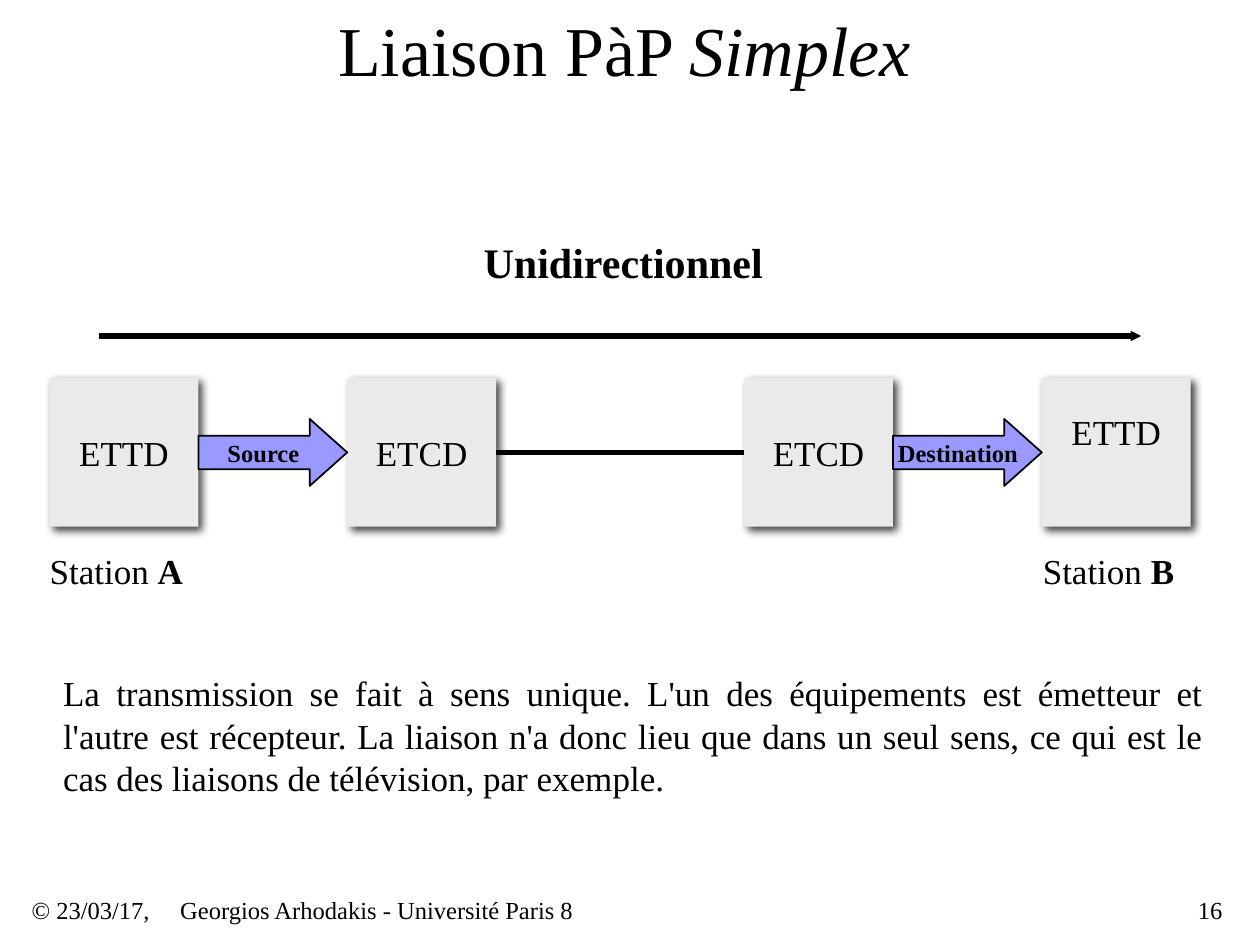
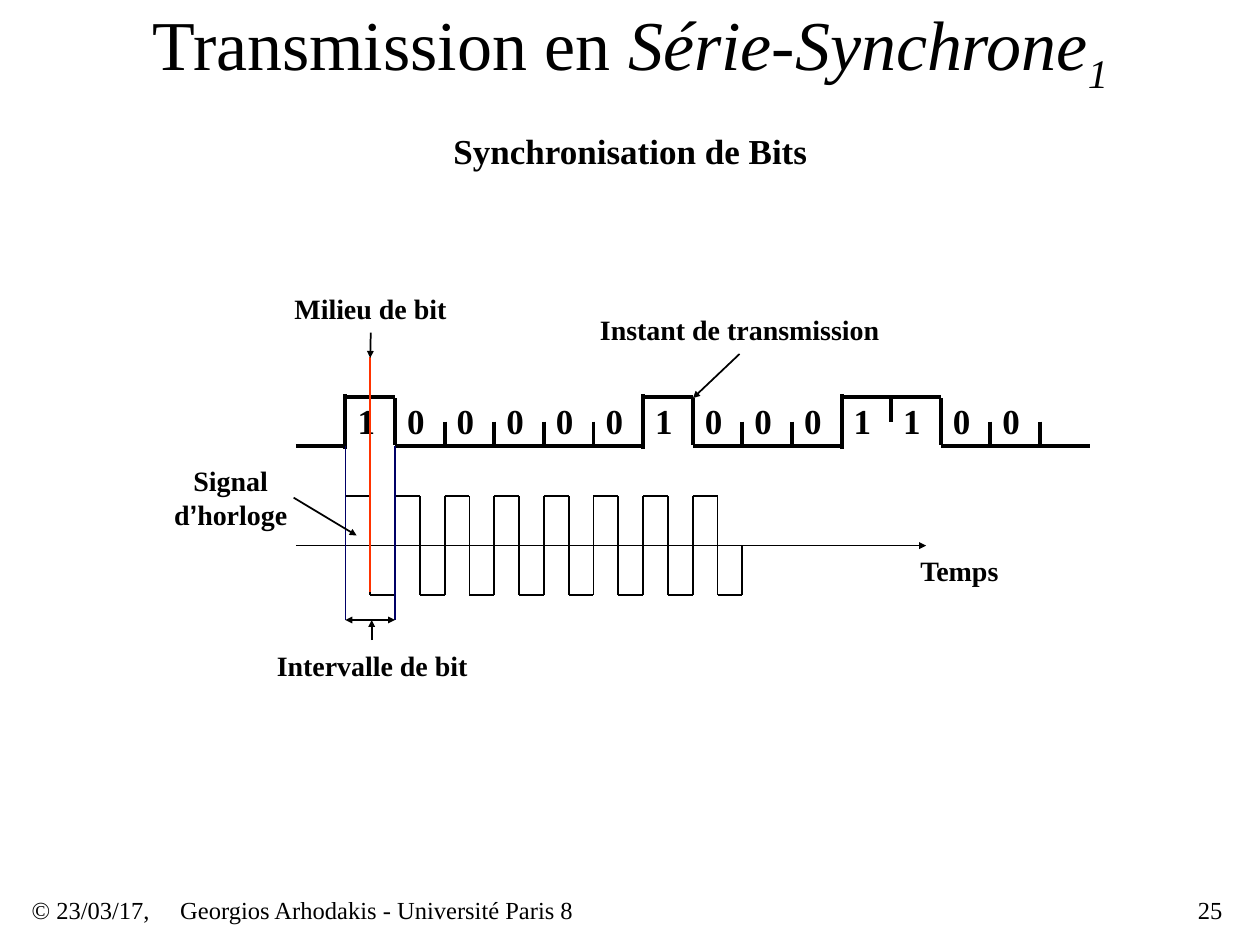
from dataclasses import dataclass
from itertools import pairwise

from lxml import etree
from pptx import Presentation
from pptx import util as u
from pptx.dml.color import RGBColor
from pptx.enum import shapes, text
from pptx.oxml import ns


@dataclass(frozen=True)
class Theme:
    font: str = "Times New Roman"
    quote_font: str = "Arial"
    ink: str = "000000"
    station: str = "EAEAEA"
    flow: str = "9999FF"
    interval: str = "000066"
    middle: str = "FF3300"
    title: float = 40
    heading: float = 24
    body: float = 20
    label: float = 16
    small: float = 14
    thin: float = 1
    signal: float = 2.25
    thick: float = 3


THEME = Theme()
BOLD = {"bold": True}
ITALIC = {"italic": True}
CENTER = text.PP_ALIGN.CENTER
NO_INSET = (0, 0, 0, 0)
DEFAULT_INSET = (7.2, 3.6, 7.2, 3.6)
CM = 28.35


def add_xml(parent, tag, **attributes):
    child = etree.SubElement(parent, ns.qn(tag))
    for name, value in attributes.items():
        child.set(name, str(value))
    return child


class Stage:
    def __init__(self, deck, theme):
        self.deck = deck
        self.theme = theme
        self.page = None

    def new_page(self, number, title_spans, title_left, title_width):
        self.page = self.deck.slides.add_slide(self.deck.slide_layouts[6])
        footers = (
            (14.4, 142, "© 23/03/17,", text.PP_ALIGN.LEFT),
            (99.4, 369, "Georgios Arhodakis - Université Paris 8", text.PP_ALIGN.LEFT),
            (552.2, 150, str(number), text.PP_ALIGN.RIGHT),
        )
        for left, width, words, align in footers:
            self.label((left, 509.8, width, 20.2), [(words, {})], self.theme.small,
                       align=align, inset=(3.6, 1.4, 3.6, 1.4))
        self.label((title_left, 0, title_width, 55.4), title_spans,
                   self.theme.title, inset=DEFAULT_INSET)

    def set_text(self, box, spans, size, align=CENTER, inset=NO_INSET, wrap=True,
                 anchor=text.MSO_ANCHOR.MIDDLE):
        frame = box.text_frame
        sides = ("margin_left", "margin_top", "margin_right", "margin_bottom")
        settings = dict(zip(sides, map(u.Pt, inset)), word_wrap=wrap, vertical_anchor=anchor)
        for name, value in settings.items():
            setattr(frame, name, value)
        para = frame.paragraphs[0]
        para.alignment = align
        for words, extra in spans:
            span = para.add_run()
            span.text = words
            look = {"name": self.theme.font, "size": u.Pt(size)} | extra
            baseline = look.pop("baseline", None)
            for name, value in look.items():
                setattr(span.font, name, value)
            span.font.color.rgb = RGBColor.from_string(self.theme.ink)
            if baseline:
                span.font._element.set("baseline", str(baseline))

    def label(self, place, spans, size, **layout):
        box = self.page.shapes.add_textbox(*map(u.Pt, place))
        self.set_text(box, spans, size, **layout)

    def shape(self, kind, place, fill):
        box = self.page.shapes.add_shape(kind, *map(u.Pt, place))
        box.shadow.inherit = False
        box.fill.solid()
        box.fill.fore_color.rgb = RGBColor.from_string(fill)
        return box

    def station(self, left, top, name, lift=0):
        box = self.shape(shapes.MSO_SHAPE.RECTANGLE, (left, top, 3 * CM, 3 * CM),
                         self.theme.station)
        box.line.fill.background()
        effects = box._element.spPr.find(ns.qn("a:effectLst"))
        shadow = add_xml(effects, "a:outerShdw", blurRad=u.Pt(5), dist=u.Pt(3),
                         dir=45 * 60000, algn="ctr", rotWithShape=0)
        color = add_xml(shadow, "a:srgbClr", val=self.theme.ink)
        add_xml(color, "a:alpha", val=75000)
        self.set_text(box, [(name, {})], self.theme.body, inset=(7.2, 3.6, 7.2, 3.6 + lift),
                      wrap=False)
        return box

    def flow(self, left, middle, name):
        height = 38.3
        box = self.shape(shapes.MSO_SHAPE.RIGHT_ARROW,
                         (left, middle - height / 2, 3 * CM, height), self.theme.flow)
        box.adjustments[0], box.adjustments[1] = 0.5, 0.56
        box.line.color.rgb = RGBColor.from_string(self.theme.ink)
        box.line.width = u.Pt(self.theme.thin)
        self.set_text(box, [(name, BOLD)], self.theme.small)

    def line(self, start, end, width=None, color=None, head=False, tail=False):
        line = self.page.shapes.add_connector(shapes.MSO_CONNECTOR.STRAIGHT,
                                              *map(u.Pt, (*start, *end)))
        line.line.width = u.Pt(width or self.theme.thin)
        line.line.color.rgb = RGBColor.from_string(color or self.theme.ink)
        outline = line._element.spPr.find(ns.qn("a:ln"))
        for wanted, tag in ((head, "a:headEnd"), (tail, "a:tailEnd")):
            if wanted:
                add_xml(outline, tag, type="triangle", w="sm", len="sm")
        add_xml(line._element.spPr, "a:effectLst")
        return line


def build_simplex(stage):
    theme = stage.theme
    stage.new_page(16, [("Liaison PàP ", {}), ("Simplex", ITALIC)], 77.8, 558)
    top = 216
    middle = top + 1.5 * CM
    stage.station(CM, top, "ETTD")
    sender = stage.station(7 * CM, top, "ETCD")
    receiver = stage.station(15 * CM, top, "ETCD")
    stage.station(21 * CM, top, "ETTD", lift=24)
    for left, name in ((4 * CM, "Source"), (18 * CM, "Destination")):
        stage.flow(left, middle, name)
    for left, letter in ((CM, "A"), (21 * CM, "B")):
        stage.label((left, 311.8, 76.3, CM), [("Station ", {}), (letter, BOLD)], theme.body)

    link = stage.line((10 * CM, middle), (15 * CM, middle), theme.thick)
    link.begin_connect(sender, 3)
    link.end_connect(receiver, 1)
    stage.line((2 * CM, 192), (23 * CM, 192), theme.thick, tail=True)
    stage.label((269.3, 131.8, 174.2, 36), [("Unidirectionnel", BOLD)], theme.heading,
                align=text.PP_ALIGN.LEFT, inset=DEFAULT_INSET, wrap=False,
                anchor=text.MSO_ANCHOR.TOP)
    stage.label((36, 384, 651.6, 72), [(
        "La transmission se fait à sens unique. L'un des équipements est émetteur et "
        "l'autre est récepteur. La liaison n'a donc lieu que dans un seul sens, ce qui "
        "est le cas des liaisons de télévision, par exemple.", {})],
        theme.body, align=text.PP_ALIGN.JUSTIFY)


def draw_bits(stage, bits, left, high, low):
    theme = stage.theme
    half = (high + low) / 2
    levels = "0" + bits + "0"
    for index, level in enumerate(levels):
        start = left + (index - 1) * CM
        y = high if level == "1" else low
        stage.line((start, y), (start + CM, y), theme.signal)
    edges = {
        "01": (high - 1.4, low + 1.4),
        "10": (high + 0.7, low - 0.7),
        "00": (half, low),
        "11": (high, half),
    }
    for index, (before, after) in enumerate(pairwise(levels)):
        x = left + index * CM
        start, end = edges[before + after]
        stage.line((x, start), (x, end), theme.signal)
    for index, bit in enumerate(bits):
        stage.label((left + index * CM, 228.4, 23.8, 23.8), [(bit, BOLD)], theme.body)


def draw_clock(stage, cycles, left, high, axis, low):
    half_bit = CM / 2
    last = 2 * cycles
    for index in range(last + 1):
        x = left + index * half_bit
        stage.line((x, axis if index == last else high), (x, low if index else axis))
        if index < last:
            y = low if index % 2 else high
            stage.line((x, y), (x + half_bit, y))
    stage.line((left - CM, axis), (529.2, axis), tail=True)


def build_synchronous(stage):
    theme = stage.theme
    stage.new_page(25, [("Transmission en ", {}), ("Série-Synchrone", ITALIC),
                        ("1", ITALIC | {"baseline": -25000})], 66.2, 588.2)
    first_bit, high, low, axis = 197.4, 226.8, 255.1, 311.8
    second_bit = first_bit + CM
    bit_middle = first_bit + CM / 2
    interval = 354.3

    draw_bits(stage, "10000010001100", first_bit, high, low)
    stage.label((252, 70.6, 216.7, 31), [("Synchronisation de Bits", BOLD)], theme.body,
                align=text.PP_ALIGN.LEFT, inset=DEFAULT_INSET, wrap=False,
                anchor=text.MSO_ANCHOR.TOP)
    draw_clock(stage, 8, first_bit, axis - CM, axis, axis + CM)

    for x in (first_bit, second_bit):
        stage.line((x, interval), (x, low), color=theme.interval)
    stage.line((bit_middle, 338.4), (bit_middle, 203.8), color=theme.middle)
    stage.line((first_bit, interval), (second_bit, interval), head=True, tail=True)

    labels = (
        (523.4, 311.8, 49.7, [("Temps", BOLD)]),
        (156.2, 365.8, 113, [("Intervalle de bit", BOLD)]),
        (167.8, 162, 87.8, [("Milieu de bit", BOLD)]),
        (95.8, 270, 72, [("Signal d", BOLD), ("’", BOLD | {"name": theme.quote_font}),
                         ("horloge", BOLD)]),
        (342, 174.2, 161.3, [("Instant de transmission", BOLD)]),
    )
    for left, top, width, spans in labels:
        stage.label((left, top, width, CM), spans, theme.label)

    pointers = (
        ((212.4, 365.8), (212.4, interval)),
        ((bit_middle + 0.3, 190.1), (bit_middle, 204.5)),
        ((167.8, 284.4), (203.8, 306)),
        ((422.6, 202.3), (396, 227.5)),
    )
    for start, end in pointers:
        stage.line(start, end, tail=True)


def main():
    deck = Presentation()
    deck.slide_width, deck.slide_height = u.Pt(720), u.Pt(540)
    stage = Stage(deck, THEME)
    build_simplex(stage)
    build_synchronous(stage)
    deck.save("out.pptx")


if __name__ == "__main__":
    main()
